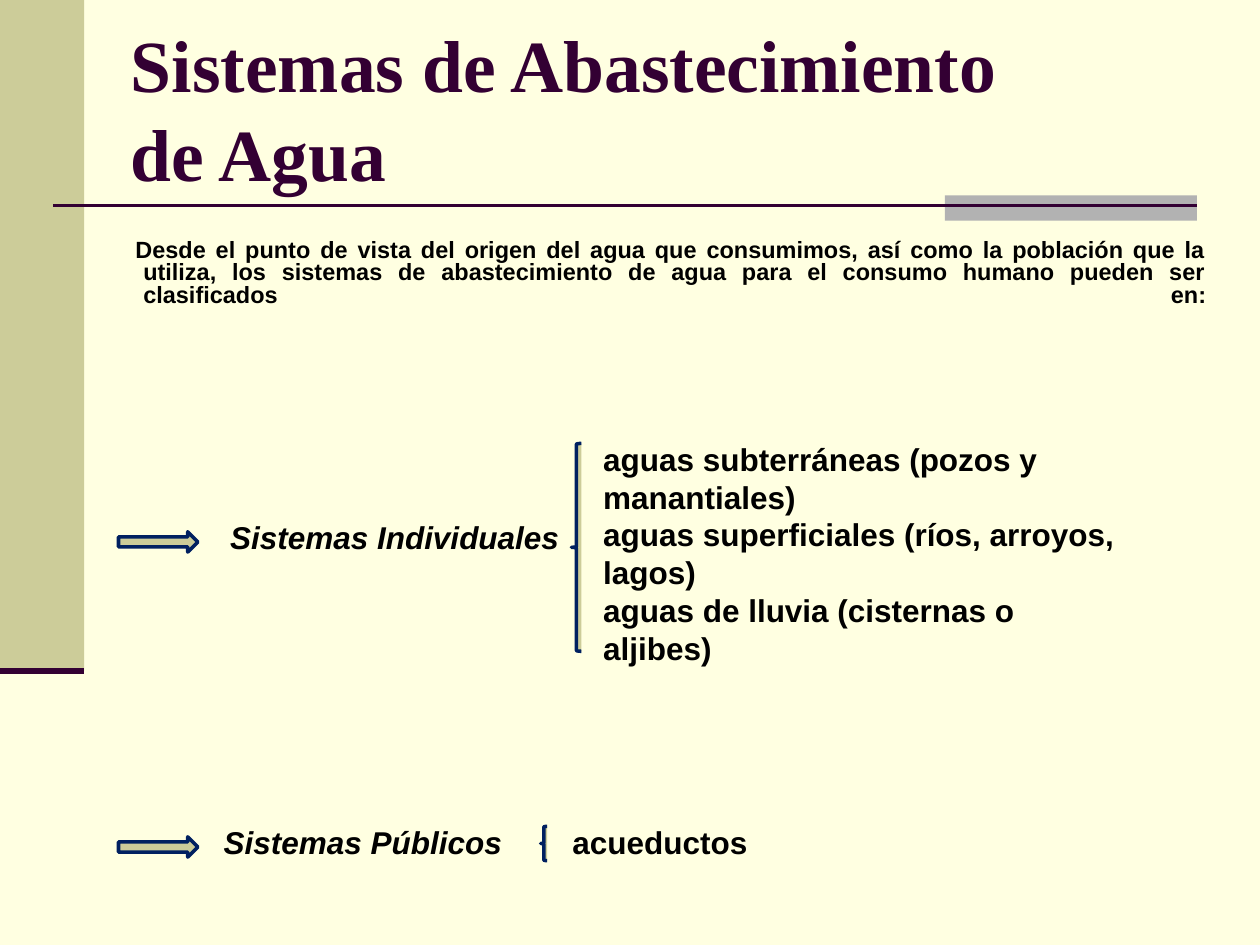
from lxml.etree import SubElement
from pptx import Presentation
from pptx.dml.color import RGBColor
from pptx.enum.shapes import MSO_CONNECTOR, MSO_SHAPE
from pptx.enum.text import MSO_ANCHOR, PP_ALIGN
from pptx.oxml.ns import qn
from pptx.util import Cm, Pt

CREAM, KHAKI, GREY = "FFFFE1", "CCCC99", "B2B2B2"
PLUM, NAVY, BLACK = "330033", "002060", "000000"
TITLE = {"name": "Times New Roman", "size": Pt(42), "bold": True}
INTRO = {"name": "Arial", "size": Pt(13.4), "bold": True}
ITEM = {"name": "Arial", "size": Pt(18), "bold": True, "italic": False}
LABEL = {**ITEM, "italic": True}


def colour(value):
    return RGBColor.from_string(value)


def add_figure(page, kind, box, fill, outline=None):
    shape = page.shapes.add_shape(kind, *map(Cm, box))
    shape.shadow.inherit = False
    shape.fill.solid()
    shape.fill.fore_color.rgb = colour(fill)
    if outline:
        shape.line.color.rgb = colour(outline)
        shape.line.width = Pt(2)
    else:
        shape.line.fill.background()
    return shape


def add_rule(page, left, right, y, width):
    rule = page.shapes.add_connector(MSO_CONNECTOR.STRAIGHT, Cm(left), Cm(y), Cm(right), Cm(y))
    rule.line.color.rgb = colour(PLUM)
    rule.line.width = Pt(width)
    SubElement(rule._element.spPr, qn("a:effectLst"))


def add_text(page, box, lines, style, text_colour=BLACK, anchor=MSO_ANCHOR.TOP):
    frame = page.shapes.add_textbox(*map(Cm, box)).text_frame
    frame.word_wrap = True
    frame.vertical_anchor = anchor
    frame.text = "\n".join(lines)
    for para in frame.paragraphs:
        for span in para.runs:
            for name, value in style.items():
                setattr(span.font, name, value)
            span.font.color.rgb = colour(text_colour)
    return frame


def add_frame(page, width, height):
    page.background.fill.solid()
    page.background.fill.fore_color.rgb = colour(CREAM)
    band_width, band_height, edge = 1.7, height * 0.71, width * 0.95
    add_figure(page, MSO_SHAPE.RECTANGLE, (0, 0, band_width, band_height), KHAKI)
    add_figure(page, MSO_SHAPE.RECTANGLE, (edge - 5.08, 3.94, 5.08, 0.51), GREY)
    add_rule(page, 1.07, edge, 4.14, 1.5)
    add_rule(page, 0, band_width, band_height, 3.5)


def add_intro(page, box, text):
    frame = add_text(page, box, [text], INTRO)
    para = frame.paragraphs[0]
    para.alignment = PP_ALIGN.JUSTIFY
    para.line_spacing = 0.8
    para._p.get_or_add_pPr().set("marL", str(Cm(0.94)))
    para._p.get_or_add_pPr().set("indent", str(Cm(-0.16)))


def add_system(page, box, label, label_at, items, items_at, brace_size):
    left, top, width, height = box
    label_left, label_top = left + label_at[0], top + label_at[1]
    items_left = left + items_at
    brace_width, brace_height = brace_size
    add_figure(page, MSO_SHAPE.RIGHT_ARROW, (left, label_top + 0.41, 1.6, 0.41), KHAKI, NAVY)
    add_text(page, (label_left, label_top, 7.2, 1.02), [label], LABEL)
    brace = (items_left - 0.39, top + 0.2, brace_width, brace_height)
    add_figure(page, MSO_SHAPE.LEFT_BRACE, brace, KHAKI, NAVY)
    add_text(page, (items_left, top, width - items_at, height), items, ITEM)


def main():
    deck = Presentation()
    deck.slide_width, deck.slide_height = Cm(25.4), Cm(19.05)
    page = deck.slides.add_slide(deck.slide_layouts[6])
    add_frame(page, 25.4, 19.05)
    add_text(page, (2.39, 0.58, 21.59, 3.18), ["Sistemas de Abastecimiento\vde Agua"],
             TITLE, PLUM, MSO_ANCHOR.MIDDLE)
    add_intro(page, (1.7, 4.72, 22.86, 2.2),
              "Desde el punto de vista del origen del agua que consumimos, así como la población "
              "que la utiliza, los sistemas de abastecimiento de agua para el consumo humano "
              "pueden ser clasificados en:\v")
    add_system(page, (2.39, 8.74, 20.52, 4.8), "Sistemas Individuales", (2, 1.57),
               ["aguas subterráneas (pozos y manantiales)",
                "aguas superficiales (ríos, arroyos, lagos)",
                "aguas de lluvia (cisternas o aljibes)"], 9.52, (0.2, 4.19))
    add_system(page, (2.39, 16.46, 13.1, 1.02), "Sistemas Públicos", (1.87, 0),
               ["acueductos"], 8.9, (0.13, 0.69))
    deck.save("out.pptx")


if __name__ == "__main__":
    main()
